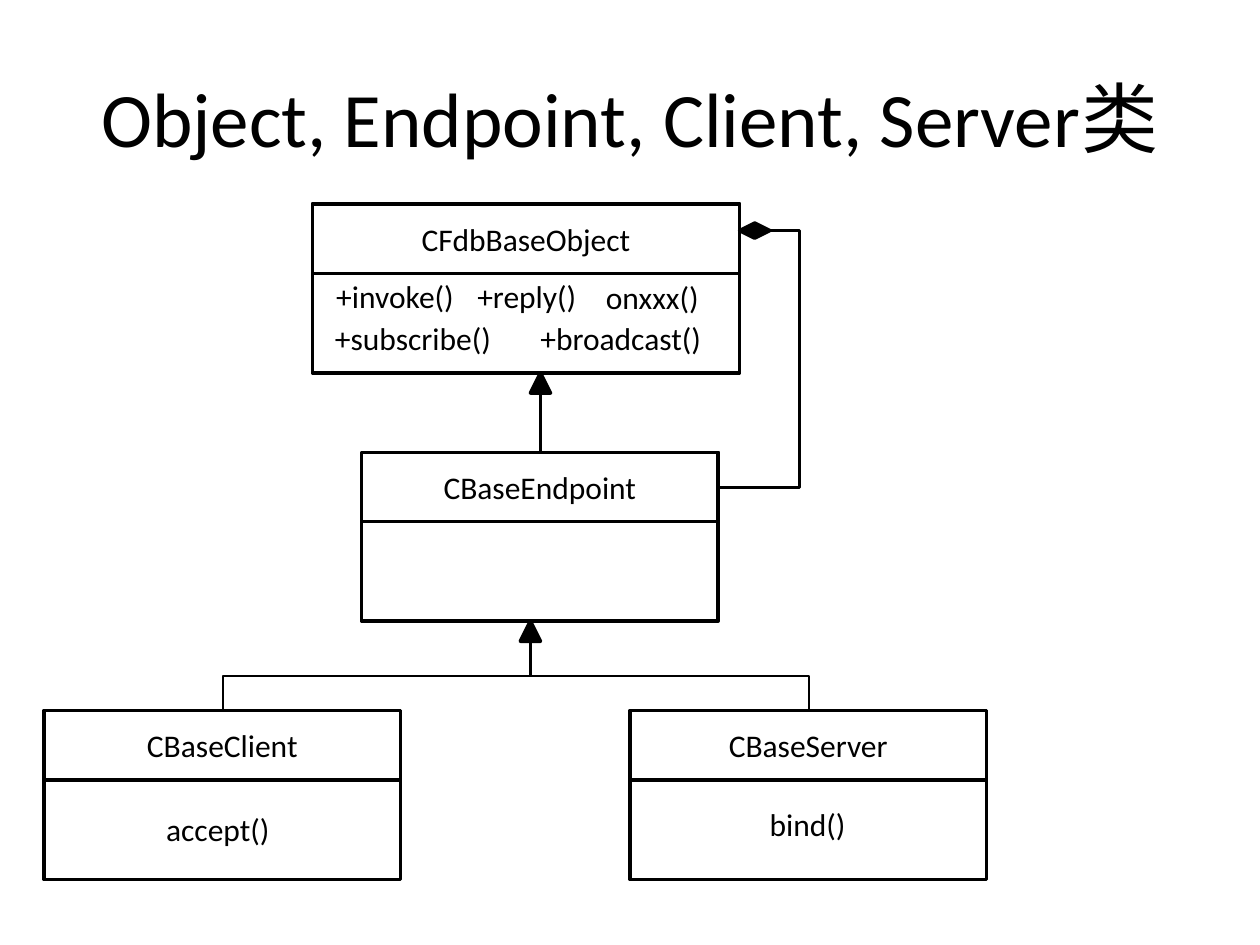
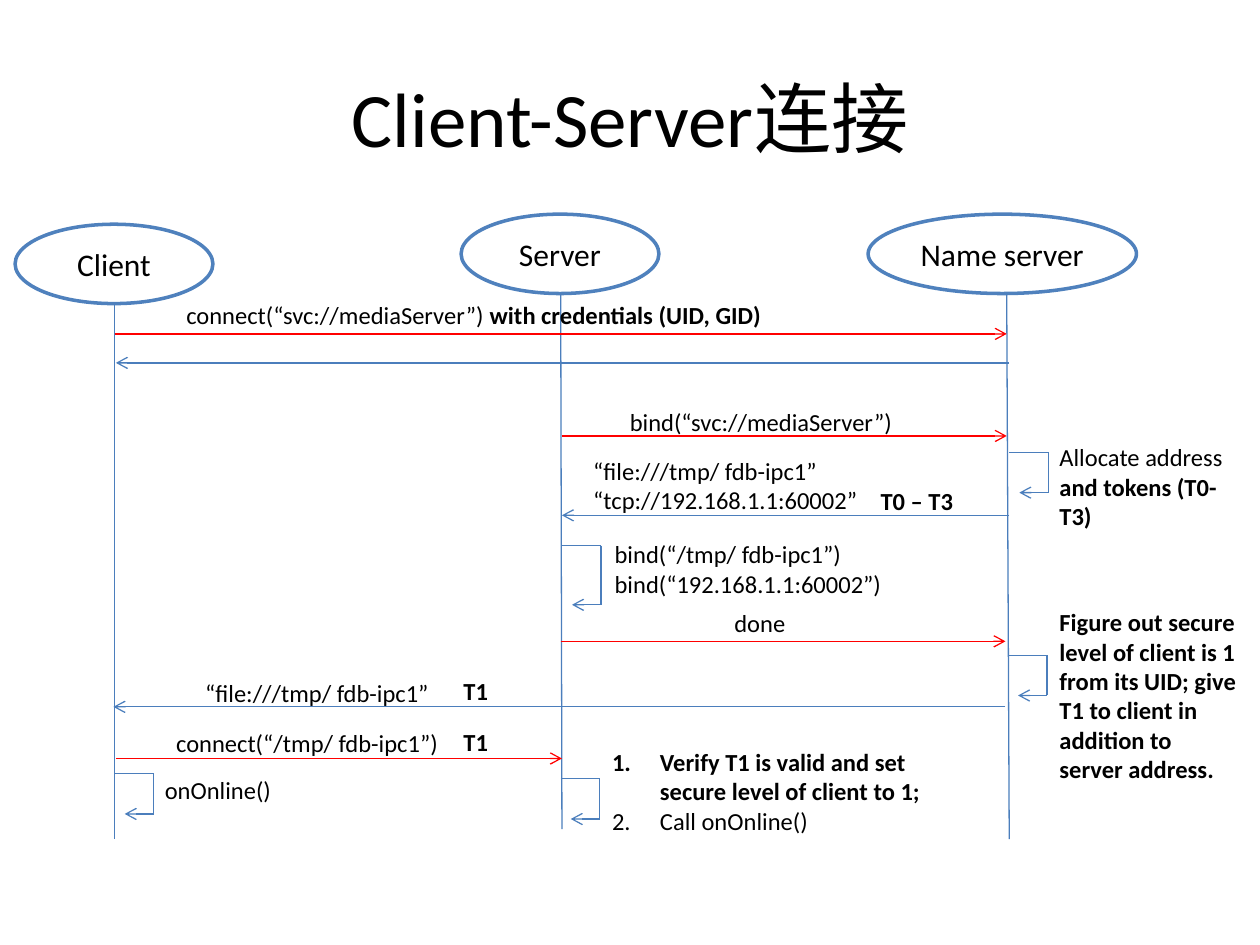
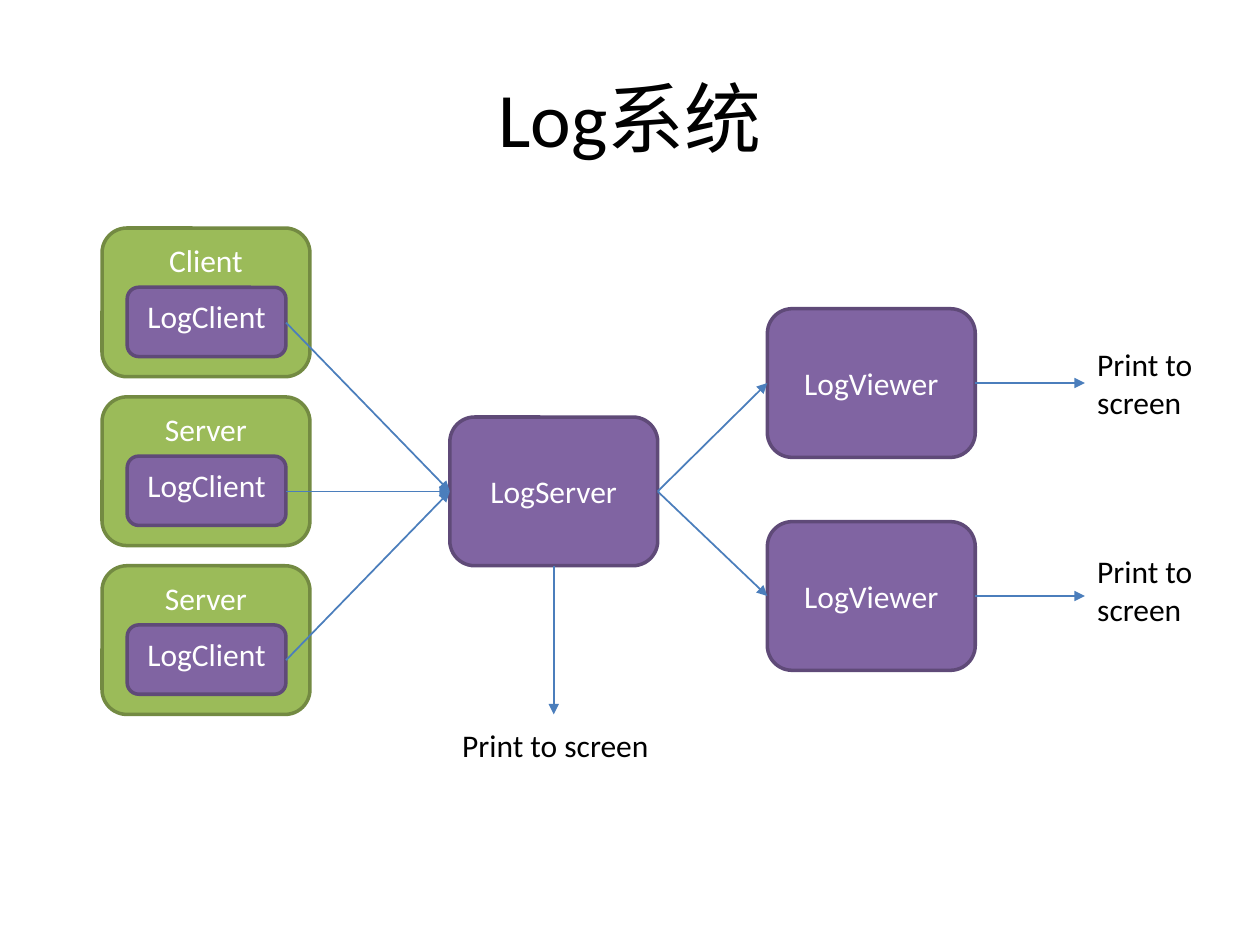
from lxml.etree import SubElement
from pptx import Presentation
from pptx.dml.color import RGBColor
from pptx.enum.shapes import MSO_CONNECTOR as LINK, MSO_SHAPE as SHAPE
from pptx.enum.text import MSO_ANCHOR as ANCHOR, MSO_AUTO_SIZE as FIT, PP_ALIGN as ALIGN
from pptx.oxml.ns import qn
from pptx.util import Inches, Pt

BLACK = RGBColor(0x00, 0x00, 0x00)
WHITE = RGBColor(0xFF, 0xFF, 0xFF)
RED = RGBColor(0xFF, 0x00, 0x00)
BLUE = RGBColor(0x4F, 0x81, 0xBD)
LINE_BLUE = RGBColor(0x4B, 0x7E, 0xBC)
GREEN = RGBColor(0x9B, 0xBB, 0x59)
DARK_GREEN = RGBColor(0x73, 0x8A, 0x42)
PURPLE = RGBColor(0x80, 0x64, 0xA2)
DARK_PURPLE = RGBColor(0x5F, 0x4A, 0x78)

FONT = "Calibri"
HEADER_H = 0.55
CLASS_H = 1.34
NODE_W, NODE_H = 1.65, 1.18


def write(paragraph, text, size, color=BLACK, bold=False):
    run = paragraph.add_run()
    run.text = text
    run.font.name = FONT
    run.font.size = Pt(size)
    run.font.bold = bold
    run.font.color.rgb = color


def titled_slide(deck, title):
    slide = deck.slides.add_slide(deck.slide_layouts[6])
    heading = slide.shapes.add_textbox(Inches(0.5), Inches(0.3), Inches(9), Inches(1.25))
    frame = heading.text_frame
    frame.word_wrap = True
    frame.vertical_anchor = ANCHOR.MIDDLE
    frame.paragraphs[0].alignment = ALIGN.CENTER
    write(frame.paragraphs[0], title, 44)
    return slide


def label(slide, at, *paragraphs, size=18, wrap=True, numbered=False):
    box = slide.shapes.add_textbox(*map(Inches, at))
    frame = box.text_frame
    frame.word_wrap = wrap
    frame.auto_size = FIT.SHAPE_TO_FIT_TEXT
    for index, runs in enumerate(paragraphs):
        paragraph = frame.add_paragraph() if index else frame.paragraphs[0]
        for text, bold in runs:
            write(paragraph, text, size, bold=bold)
        if numbered:
            layout = paragraph._p.get_or_add_pPr()
            layout.set("marL", str(Inches(0.38)))
            layout.set("indent", str(Inches(-0.38)))
            SubElement(layout, qn("a:buAutoNum"), type="arabicPeriod")


def block(slide, kind, at, fill, outline, text="", color=BLACK, anchor=ANCHOR.MIDDLE):
    shape = slide.shapes.add_shape(kind, *map(Inches, at))
    shape.shadow.inherit = False
    shape.fill.solid()
    shape.fill.fore_color.rgb = fill
    shape.line.color.rgb = outline
    shape.line.width = Pt(2)
    if text:
        frame = shape.text_frame
        frame.vertical_anchor = anchor
        frame.paragraphs[0].alignment = ALIGN.CENTER
        write(frame.paragraphs[0], text, 18, color)


def link(slide, start, end, color=LINE_BLUE, width=0.75, head=None, kind=LINK.STRAIGHT):
    connector = slide.shapes.add_connector(kind, *map(Inches, (*start, *end)))
    connector.line.color.rgb = color
    connector.line.width = Pt(width)
    if head:
        SubElement(connector.line._ln, qn("a:tailEnd"), type=head)
    SubElement(connector._element.spPr, qn("a:effectLst"))
    return connector


def vertical_elbow(slide, start, end):
    (x1, y1), (x2, y2) = start, end
    mid_x, mid_y = (x1 + x2) / 2, (y1 + y2) / 2
    half_w = (y2 - y1) / 2 * (1 if x2 < x1 else -1)
    half_h = abs(x2 - x1) / 2
    elbow = link(slide, (mid_x - half_w, mid_y - half_h), (mid_x + half_w, mid_y + half_h),
                 BLACK, 1.5, kind=LINK.ELBOW)
    elbow.rotation = 90 if x2 < x1 else 270


def side_elbow(slide, start, end, bend):
    elbow = link(slide, start, end, BLACK, 1.5, kind=LINK.ELBOW)
    geometry = elbow._element.spPr.find(qn("a:prstGeom"))
    guides = geometry.find(qn("a:avLst"))
    if guides is None:
        guides = SubElement(geometry, qn("a:avLst"))
    SubElement(guides, qn("a:gd"), name="adj1", fmla=f"val {round(bend * 100000)}")


def class_box(slide, name, left, top, width=2.83):
    block(slide, SHAPE.RECTANGLE, (left, top, width, CLASS_H), WHITE, BLACK)
    block(slide, SHAPE.RECTANGLE, (left, top, width, HEADER_H), WHITE, BLACK, name)


def self_call(slide, x, y, height=0.32):
    right, bottom = x + 0.31, y + height
    link(slide, (x, y), (right, y))
    link(slide, (right, y), (right, bottom))
    link(slide, (right, bottom), (x + 0.08, bottom), head="arrow")


def node(slide, name, left, top):
    block(slide, SHAPE.ROUNDED_RECTANGLE, (left, top, NODE_W, NODE_H),
          PURPLE, DARK_PURPLE, name, WHITE)


def log_source(slide, name, left, top):
    block(slide, SHAPE.ROUNDED_RECTANGLE, (left, top, NODE_W, NODE_H),
          GREEN, DARK_GREEN, name, WHITE, ANCHOR.TOP)
    block(slide, SHAPE.ROUNDED_RECTANGLE, (left + 0.2, top + 0.47, 1.26, 0.55),
          PURPLE, DARK_PURPLE, "LogClient", WHITE, ANCHOR.TOP)


def class_slide(deck):
    slide = titled_slide(deck, "Object, Endpoint, Client, Server类")
    class_box(slide, "CFdbBaseObject", 2.48, 1.62, 3.39)
    class_box(slide, "CBaseEndpoint", 2.87, 3.59)
    class_box(slide, "CBaseClient", 0.35, 5.64)
    class_box(slide, "CBaseServer", 5, 5.64)

    link(slide, (4.29, 3.12), (4.29, 3.59), BLACK, 1.5)
    for left, top in ((4.21, 2.96), (4.13, 4.93)):
        block(slide, SHAPE.ISOSCELES_TRIANGLE, (left, top, 0.16, 0.16), BLACK, BLACK)
    for child_x in (1.77, 6.42):
        vertical_elbow(slide, (4.21, 5.09), (child_x, 5.64))
    block(slide, SHAPE.DIAMOND, (5.87, 1.77, 0.24, 0.12), BLACK, BLACK)
    side_elbow(slide, (6.1, 1.83), (5.71, 3.87), -0.635)

    methods = (
        ("bind()", 6.01, 6.34, 0.81),
        ("accept()", 1.22, 6.38, 1.03),
        ("+reply()", 3.69, 2.15, 1),
        ("+invoke()", 2.57, 2.15, 1.15),
        ("+broadcast()", 4.19, 2.48, 1.49),
        ("+subscribe()", 2.56, 2.48, 1.46),
        ("onxxx()", 4.71, 2.16, 0.95),
    )
    for name, left, top, width in methods:
        label(slide, (left, top, width, 0.4), [(name, False)], wrap=False)


def connection_slide(deck):
    slide = titled_slide(deck, "Client-Server连接")
    actors = (
        ("Client", 0.12, 1.78, 1.57, 0.91, 0.91, 6.66),
        ("Server", 3.66, 1.7, 1.57, 4.45, 4.46, 6.58),
        ("Name server", 6.89, 1.7, 2.13, 7.99, 8.01, 6.66),
    )
    for name, left, top, width, start_x, end_x, bottom in actors:
        block(slide, SHAPE.OVAL, (left, top, width, 0.63), WHITE, BLUE, name)
        link(slide, (start_x, top + 0.63), (end_x, bottom))

    messages = (
        (0.91, 7.99, 2.65, RED),
        (8.01, 0.92, 2.88, LINE_BLUE),
        (4.46, 7.99, 3.46, RED),
        (8.01, 4.46, 4.09, LINE_BLUE),
        (4.45, 7.98, 5.09, RED),
        (7.98, 0.9, 5.61, LINE_BLUE),
        (0.92, 4.46, 6.02, RED),
    )
    for sender, receiver, y, color in messages:
        link(slide, (sender, y), (receiver, y), color, head="arrow")

    self_call(slide, 4.46, 4.33, 0.47)
    for x, y in ((4.45, 6.18), (0.91, 6.14), (8.01, 3.59), (8, 5.2)):
        self_call(slide, x, y)

    wrapped = (
        ((4.9, 3.18, 2.31, 0.34), [("bind(“svc://mediaServer”)", False)]),
        ((1.38, 2.33, 4.88, 0.34), [("connect(“svc://mediaServer”) ", False),
                                    ("with credentials (UID, GID)", True)]),
        ((5.73, 4.78, 0.61, 0.34), [("done", False)]),
        ((1.21, 6.1, 1.73, 0.34), [("onOnline()", False)]),
        ((8.31, 3.46, 1.65, 0.57), [("Allocate address ", False),
                                    ("and tokens (T0-T3)", True)]),
        ((6.89, 3.81, 0.81, 0.34), [("T0 – T3", True)]),
        ((8.31, 4.77, 1.62, 1.51), [("Figure out secure level of client is 1 from its UID; "
                                     "give T1 to client in addition to server address.", True)]),
        ((3.58, 5.72, 0.61, 0.34), [("T1", True)]),
        ((3.58, 5.32, 0.61, 0.34), [("T1", True)]),
    )
    for at, runs in wrapped:
        label(slide, at, runs, size=14)

    file_address = [("“file:///tmp/ fdb-ipc1”", False)]
    unwrapped = (
        ((4.61, 3.57, 2.32, 0.57), file_address, [("“tcp://192.168.1.1:60002”", False)]),
        ((1.53, 5.33, 1.99, 0.34), file_address),
        ((4.78, 4.23, 2.34, 0.57), [("bind(“/tmp/ fdb-ipc1”)", False)],
         [("bind(“192.168.1.1:60002”)", False)]),
        ((1.3, 5.73, 2.3, 0.34), [("connect(“/tmp/ fdb-ipc1”)", False)]),
    )
    for at, *paragraphs in unwrapped:
        label(slide, at, *paragraphs, size=14, wrap=False)

    label(slide, (4.76, 5.88, 3.07, 0.81),
          [("Verify T1 is valid and set secure level of client to 1;", True)],
          [("Call onOnline()", False)], size=14, numbered=True)


def log_slide(deck):
    slide = titled_slide(deck, "Log系统")
    server_left, server_top = 3.57, 3.31
    server_y = server_top + NODE_H / 2
    server_right = server_left + NODE_W
    viewer_left = 6.09
    arrows = []

    for row, name in enumerate(("Client", "Server", "Server")):
        top = 1.81 + row * 1.34
        log_source(slide, name, 0.81, top)
        arrows.append(((2.27, top + 0.75), (server_left, server_y)))

    node(slide, "LogServer", server_left, server_top)
    server_x = server_left + NODE_W / 2
    arrows.append(((server_x, server_top + NODE_H), (server_x, 5.67)))
    label(slide, (server_left, 5.71, 1.97, 0.4), [("Print to screen", False)])

    for top, label_top in ((2.45, 2.69), (4.14, 4.33)):
        node(slide, "LogViewer", viewer_left, top)
        viewer_y = top + NODE_H / 2
        arrows.append(((server_right, server_y), (viewer_left, viewer_y)))
        arrows.append(((viewer_left + NODE_W, viewer_y), (8.61, viewer_y)))
        label(slide, (8.61, label_top, 1.04, 0.71), [("Print to screen", False)])

    for start, end in arrows:
        link(slide, start, end, width=1, head="triangle")


def main():
    deck = Presentation()
    deck.slide_width, deck.slide_height = Inches(10), Inches(7.5)
    class_slide(deck)
    connection_slide(deck)
    log_slide(deck)
    deck.save("out.pptx")


main()
